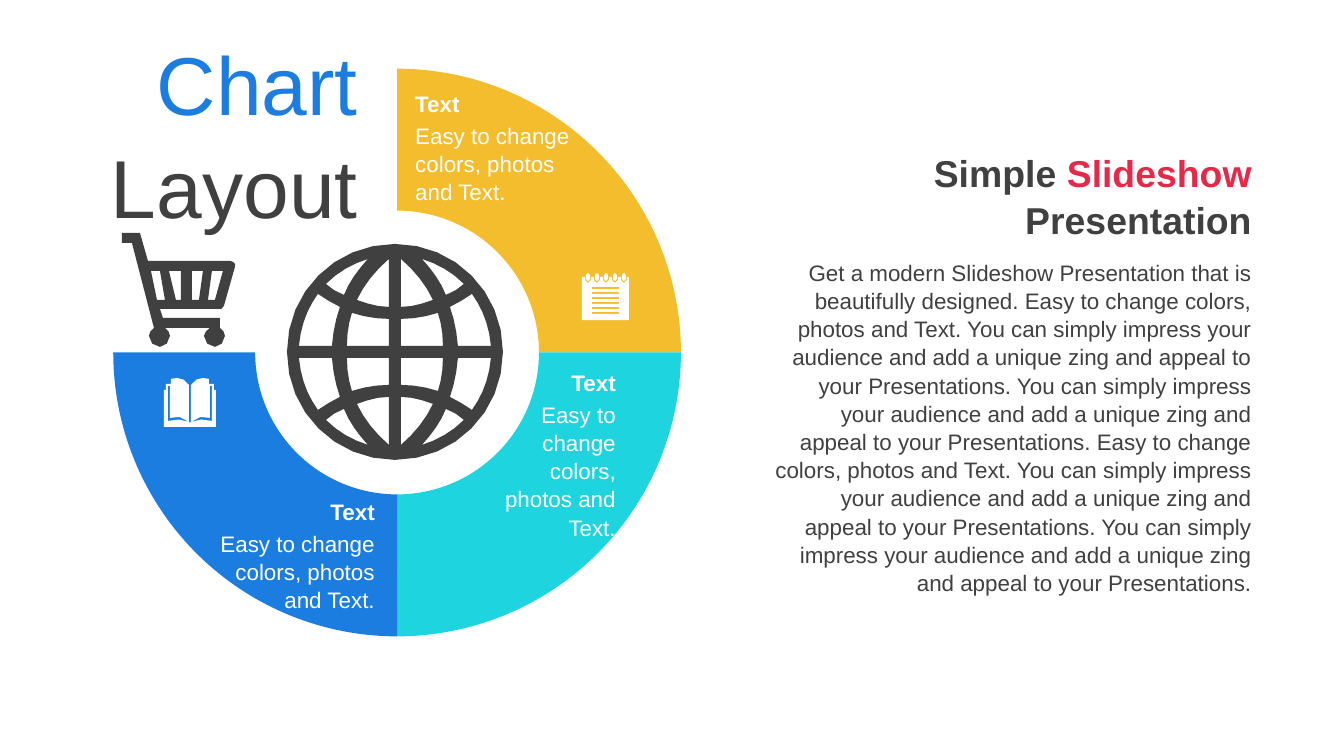
from math import dist

from lxml import etree
from pptx import Presentation
from pptx import util as u
from pptx.chart.data import CategoryChartData
from pptx.dml.color import RGBColor
from pptx.enum import chart as charts, text
from pptx.oxml.ns import qn

PX = 914400 / 134.4
FONT = "Arial"
COLORS = {
    "yellow": "F4BD2D", "cyan": "1ED4DE", "blue": "1C7DE1",
    "red": "E62949", "dark": "404040", "white": "FFFFFF", "black": "000000",
}
LEFT, RIGHT = text.PP_ALIGN.LEFT, text.PP_ALIGN.RIGHT

presentation = Presentation()
presentation.slide_width = u.Emu(round(1344 * PX))
presentation.slide_height = u.Emu(round(756 * PX))
slide = presentation.slides.add_slide(presentation.slide_layouts[6])


def add_text(box, runs, size, align, bold=False, anchor=text.MSO_ANCHOR.TOP):
    """Add a text box; box is in px and runs are (words, color name) pairs."""
    shape = slide.shapes.add_textbox(*[round(length * PX) for length in box])
    frame = shape.text_frame
    frame.word_wrap = True
    frame.vertical_anchor = anchor
    paragraph = frame.paragraphs[0]
    paragraph.alignment = align
    paragraph.line_spacing = 1.05
    for words, color in runs:
        run = paragraph.add_run()
        run.text = words
        run.font.name = FONT
        run.font.size = u.Pt(size)
        run.font.bold = bold
        run.font.color.rgb = RGBColor.from_string(COLORS[color])


def add_icon(color, outlines):
    """Fill (contour, center, mirror) outlines as one shape.

    A contour is a string of px points; a/b/c is a cubic curve ending at c.
    """
    builder = None
    for contour, center, mirror in outlines:
        points = []
        for step in contour.split():
            knots = [
                tuple(c + m * int(v) for c, m, v in zip(center, mirror, knot.split(",")))
                for knot in step.split("/")
            ]
            if len(knots) == 1:
                points += knots
                continue
            curve = [points[-1]] + knots
            parts = min(8, max(2, round(dist(curve[0], curve[3]) / 12)))
            for t in [n / parts for n in range(1, parts + 1)]:
                weights = ((1 - t) ** 3, 3 * t * (1 - t) ** 2, 3 * t * t * (1 - t), t ** 3)
                points.append(tuple(
                    sum(w * p[axis] for w, p in zip(weights, curve)) for axis in (0, 1)))
        points = [(x * PX, y * PX) for x, y in points]
        if builder is None:
            builder = slide.shapes.build_freeform(*points[0])
        else:
            builder.move_to(*points[0])
        builder.add_line_segments(points[1:], close=True)
    shape = builder.convert_to_shape()
    shape.shadow.inherit = False
    shape.fill.solid()
    shape.fill.fore_color.rgb = RGBColor.from_string(COLORS[color])
    shape.line.fill.background()


# Doughnut chart with an empty last quarter
data = CategoryChartData()
data.categories = ["1", "2", "3", "4"]
data.add_series("Series 1", [25, 25, 25, 25])
chart_box = [round(length * PX) for length in (75, 35, 638, 629)]
chart = slide.shapes.add_chart(charts.XL_CHART_TYPE.DOUGHNUT, *chart_box, data).chart
chart.has_legend = False
chart.has_title = False
chart.font.name = FONT
chart.font.size = u.Pt(10)
chart.font.color.rgb = RGBColor.from_string(COLORS["black"])
plot = chart.plots[0]
plot.vary_by_categories = True
for index, color in enumerate(("yellow", "cyan", "blue", None)):
    point_format = plot.series[0].points[index].format
    point_format.line.fill.background()
    if color:
        point_format.fill.solid()
        point_format.fill.fore_color.rgb = RGBColor.from_string(COLORS[color])
    else:
        point_format.fill.background()
chart_space = chart.element
chart_space.find(".//" + qn("c:holeSize")).set("val", "45")
plot_area = chart_space.find(".//" + qn("c:plotArea"))
layout = plot_area.find(qn("c:layout"))
if layout is None:
    layout = etree.Element(qn("c:layout"))
    plot_area.insert(0, layout)
manual = etree.SubElement(layout, qn("c:manualLayout"))
for tag, value in (("layoutTarget", "inner"), ("xMode", "edge"), ("yMode", "edge"),
                   ("x", "0.06"), ("y", "0.03"), ("w", "0.89"), ("h", "0.95")):
    etree.SubElement(manual, qn("c:" + tag)).set("val", value)

add_text((38, 16, 333, 231), [("Chart ", "blue"), ("Layout", "dark")], 44, RIGHT,
         anchor=text.MSO_ANCHOR.MIDDLE)

# Book: one half, mirrored
book_half = (
    "0,427 0,423 -1,422 -1,385 -4,380/-9,378/-13,378 -19,379 "
    "-19,384 -24,384 -24,390 -26,390 -26,427",
    "-1,422 -7,417/-14,415/-20,418 -20,386 -22,386 -22,421 -14,418/-8,420/-1,422",
)
add_icon("white", [(contour, (190, 0), (side, 1)) for side in (1, -1) for contour in book_half])

# Notepad: page with five binding holes and rings, and six ruled lines
holes = range(3, 40, 9)
page = "0,277 " + " ".join(
    f"{x},277 {x},280 {x},284/{x + 6},284/{x + 6},280 {x + 6},277" for x in holes
) + " 47,277 47,320 0,320"
rings = [
    f"{x + 1},275 {x + 1},272/{x + 5},272/{x + 5},275 {x + 5},279 "
    f"{x + 5},282/{x + 1},282/{x + 1},279" for x in holes
]
rules = [f"10,{y} 37,{y} 37,{y + 2} 10,{y + 2}" for y in range(287, 313, 5)]
add_icon("white", [(contour, (582, 0), (1, 1)) for contour in [page] + rings + rules])

# Heading and description in each quarter
for left, top, width, height, align in (
    (402, 114, 181, 95, LEFT), (470, 393, 159, 149, RIGHT), (207, 522, 181, 95, RIGHT),
):
    add_text((left, top, width, height),
             [("Easy to change colors, photos and Text.", "white")], 12, align)
    add_text((left, top - 32, width, 40), [("Text", "white")], 12, align, bold=True)

# Shopping cart
cart = (
    "212,271 208,300 215,300 223,271",
    "192,271 192,300 199,300 203,271",
    "169,271 176,300 181,300 181,271",
    "151,271 157,300 165,300 160,271",
    "140,233 148,261 230,261 233,262 235,263/236,265/235,267 224,306 "
    "223,309/220,310/218,309 160,309 163,318 220,318 220,328 "
    "223,330/225,333/225,336 225,342/220,347/215,347 209,347/204,342/204,336 "
    "204,333/207,330/210,328 165,328 168,330/170,333/170,336 "
    "170,342/165,347/160,347 154,347/149,342/149,336 149,333/151,330/154,328 "
    "132,243 122,243 122,233",
)
add_icon("dark", [(contour, (0, 0), (1, 1)) for contour in cart])

# Globe: a disc with the four panes of one quadrant cut out of each quadrant
globe_center = (395, 352)
disc = ("108,0 108,60/60,108/0,108 -60,108/-108,60/-108,0 "
        "-108,-60/-60,-108/0,-108 60,-108/108,-60/108,0")
panes = (
    "51,57 46,70/37,82/27,93 43,88/57,80/69,68 64,63/58,60/51,57",
    "6,45 6,93 20,81/31,67/38,52 27,48/17,45/6,45",
    "63,6 62,20/59,34/55,45 63,49/70,53/77,58 87,44/94,28/96,6",
    "6,6 6,33 18,33/31,35/43,39 46,30/48,19/48,6",
)
add_icon("dark", [(disc, globe_center, (1, 1))] + [
    (pane, globe_center, (across, down))
    for across in (1, -1) for down in (1, -1) for pane in panes
])

add_text((757, 141, 508, 103),
         [("Simple ", "dark"), ("Slideshow ", "red"), ("Presentation", "dark")],
         20, RIGHT, bold=True)
impress = ("You can simply impress your audience and add a unique zing "
           "and appeal to your Presentations.")
easy = "Easy to change colors, photos and Text."
body = ("Get a modern Slideshow Presentation that is beautifully designed. "
        f"{easy} {impress} {impress} {easy} {impress} {impress}")
add_text((757, 251, 508, 339), [(body, "dark")], 12, RIGHT)

presentation.save("out.pptx")
